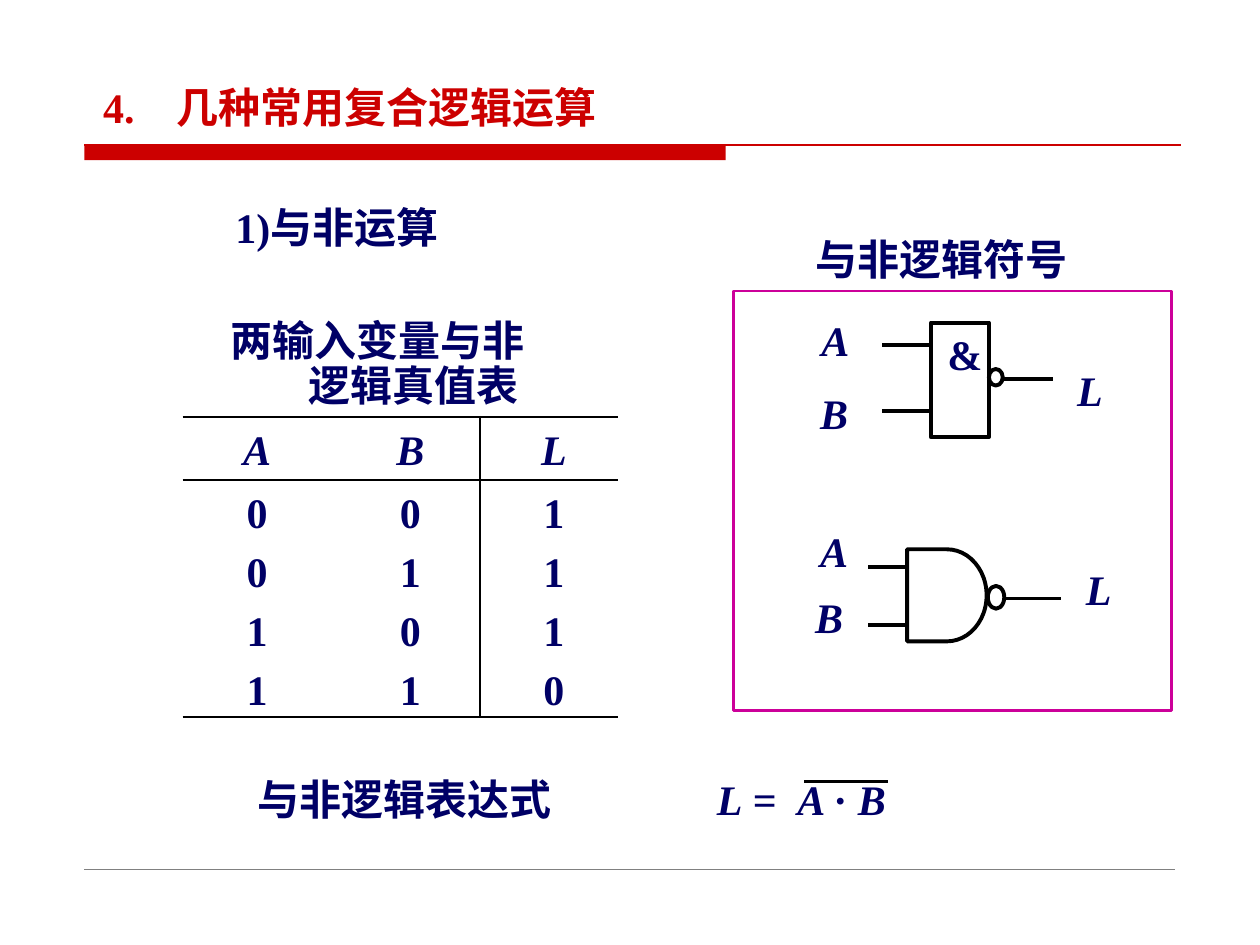
from collections import namedtuple

from lxml.etree import SubElement
from pptx import Presentation
from pptx.dml.color import RGBColor
from pptx.enum.shapes import MSO_CONNECTOR, MSO_SHAPE
from pptx.enum.text import MSO_ANCHOR, MSO_AUTO_SIZE, PP_ALIGN
from pptx.oxml.ns import qn
from pptx.oxml.xmlchemy import OxmlElement
from pptx.util import Pt

RED = RGBColor(0xCC, 0x00, 0x00)
NAVY = RGBColor(0x00, 0x00, 0x66)
BLACK = RGBColor(0x00, 0x00, 0x00)
MAGENTA = RGBColor(0xCC, 0x00, 0x99)
GREY = RGBColor(0x80, 0x80, 0x80)

BASE_FONT = {"name": "Times New Roman", "size": Pt(24), "bold": True}
GATE_LINE = 2.25
RULE_LINE = 1.5
LABEL_HEIGHT = 26

# All lengths are in points; the parts of a gate are relative to its body.
Box = namedtuple("Box", "left top width height")
Gate = namedtuple("Gate", "outline body input_ys lead bubble output_y output_end labels")

TRUTH_TABLE = ["ABL", "001", "011", "101", "110"]

GATES = [
    Gate(MSO_SHAPE.RECTANGLE, Box(113, 18, 33.1, 65.5), (13, 50.4), 28,
         Box(33.1, 26.6, 7.9, 9.4), 32.4, 69.8,
         {"A": (-62.6, -1.4, 16), "B": (-63.4, 40.3, 16),
          "L": (83.5, 27.4, 14.4), "&": (9.4, 6.5, 20)}),
    Gate(MSO_SHAPE.FLOWCHART_DELAY, Box(99.4, 147.6, 45.4, 52.6), (10.1, 43.2), 22.3,
         Box(46.1, 20.9, 9.4, 13), 28.1, 87.8,
         {"A": (-49.7, -10.1, 16), "B": (-52.6, 27.4, 16),
          "L": (102.2, 11.5, 14.4)}),
]


def points(box):
    return [Pt(length) for length in box]


def within(outer, inner):
    """Move a box given relative to another box into slide coordinates."""
    return Box(outer.left + inner.left, outer.top + inner.top, inner.width, inner.height)


def add_run(paragraph, wording, color=NAVY, italic=False):
    run = paragraph.add_run()
    run.text = wording
    for attribute, value in BASE_FONT.items():
        setattr(run.font, attribute, value)
    run.font.italic = italic
    run.font.color.rgb = color


def add_tab_stop(paragraph, position):
    tab_stops = SubElement(paragraph._p.get_or_add_pPr(), qn("a:tabLst"))
    SubElement(tab_stops, qn("a:tab"), pos=str(Pt(position)), algn="l")


def set_indents(paragraph, left, first=0):
    properties = paragraph._p.get_or_add_pPr()
    properties.set("marL", str(Pt(left)))
    properties.set("indent", str(Pt(first)))


def add_text(slide, box, wording="", italic=False, wrap=True, inset=False,
             align=PP_ALIGN.LEFT):
    """Add a one-paragraph text box and return its paragraph."""
    frame = slide.shapes.add_textbox(*points(box)).text_frame
    frame.word_wrap = wrap
    paragraph = frame.paragraphs[0]
    paragraph.alignment = align
    if not inset:
        for side in ("left", "top", "right", "bottom"):
            setattr(frame, f"margin_{side}", 0)
        paragraph.line_spacing = 0.9
    if wording:
        add_run(paragraph, wording, italic=italic)
    return paragraph


def add_line(slide, start, end, weight, color=BLACK):
    line = slide.shapes.add_connector(
        MSO_CONNECTOR.STRAIGHT, *points(start), *points(end))
    line.line.color.rgb = color
    line.line.width = Pt(weight)
    line._element.spPr.append(OxmlElement("a:effectLst"))


def add_outline(slide, kind, box, weight=GATE_LINE, color=BLACK):
    outline = slide.shapes.add_shape(kind, *points(box))
    outline.shadow.inherit = False
    outline.fill.background()
    outline.line.color.rgb = color
    outline.line.width = Pt(weight)
    return outline


def add_title(slide, box):
    title = slide.shapes.title
    for attribute, length in zip(Box._fields, points(box)):
        setattr(title, attribute, length)
    frame = title.text_frame
    frame.auto_size = MSO_AUTO_SIZE.NONE
    frame.vertical_anchor = MSO_ANCHOR.TOP
    paragraph = frame.paragraphs[0]
    paragraph.alignment = PP_ALIGN.LEFT
    add_tab_stop(paragraph, 42)
    add_run(paragraph, "4.\t几种常用复合逻辑运算", RED)


def add_page_rules(slide, box):
    right = box.left + box.width
    bottom = box.top + box.height
    bar = add_outline(slide, MSO_SHAPE.RECTANGLE,
                      Box(box.left, box.top, 366.5, 8.8), 0.75, RED)
    bar.fill.solid()
    bar.fill.fore_color.rgb = RED
    bar.line.fill.background()
    add_line(slide, (box.left, box.top), (right, box.top), 0.75, RED)
    add_line(slide, (box.left, bottom), (right - 3, bottom), 0.25, GREY)


def set_borders(cell, ruled_sides):
    properties = cell._tc.get_or_add_tcPr()
    for side in ("lnL", "lnR", "lnT", "lnB"):
        border = SubElement(properties, qn(f"a:{side}"), w=str(Pt(RULE_LINE)))
        if side in ruled_sides:
            fill = SubElement(border, qn("a:solidFill"))
            SubElement(fill, qn("a:srgbClr"), val=str(BLACK))
        else:
            SubElement(border, qn("a:noFill"))


def add_truth_table(slide, box):
    caption = add_text(slide, Box(box.left, box.top - 55.4, box.width, 52))
    set_indents(caption, 72, -44.4)
    add_run(caption, "两输入变量与非")
    caption.add_line_break()
    add_run(caption, "逻辑真值表")

    table = slide.shapes.add_table(len(TRUTH_TABLE), 3, *points(box)).table
    table.first_row = table.horz_banding = False
    for column, width in zip(table.columns, (85, 85, box.width - 170)):
        column.width = Pt(width)
    header_height = 36
    last = len(TRUTH_TABLE) - 1
    for r, values in enumerate(TRUTH_TABLE):
        table.rows[r].height = Pt((box.height - header_height) / last if r else header_height)
        for c, value in enumerate(values):
            cell = table.cell(r, c)
            sides = {"lnT": r < 2, "lnB": r in (0, last), "lnR": c == 1, "lnL": c == 2}
            set_borders(cell, [side for side, ruled in sides.items() if ruled])
            cell.fill.background()
            cell.vertical_anchor = MSO_ANCHOR.MIDDLE
            cell.margin_top, cell.margin_bottom = Pt(5 if r else 3), 0
            cell.margin_left = Pt(12.5 if c else 7.2)
            paragraph = cell.text_frame.paragraphs[0]
            paragraph.alignment = PP_ALIGN.CENTER
            add_run(paragraph, value, italic=r == 0)


def add_gate(slide, gate, body):
    left, top = body.left, body.top
    for y in gate.input_ys:
        add_line(slide, (left - gate.lead, top + y), (left, top + y), GATE_LINE)
    add_outline(slide, gate.outline, body)
    bubble = within(body, gate.bubble)
    add_outline(slide, MSO_SHAPE.OVAL, bubble)
    output_y = top + gate.output_y
    add_line(slide, (bubble.left + bubble.width, output_y),
             (left + gate.output_end, output_y), GATE_LINE)
    for label, (x, y, width) in gate.labels.items():
        add_text(slide, within(body, Box(x, y, width, LABEL_HEIGHT)), label,
                 italic=label.isalpha(), wrap=False, align=PP_ALIGN.CENTER)


def add_symbols(slide, box):
    add_text(slide, within(box, Box(35.3, -29.5, 167.8, LABEL_HEIGHT)),
             "与非逻辑符号", align=PP_ALIGN.CENTER)
    for gate in GATES:
        add_gate(slide, gate, within(box, gate.body))
    add_outline(slide, MSO_SHAPE.RECTANGLE, box, RULE_LINE, MAGENTA)


def add_expression(slide, box):
    caption = add_text(slide, Box(box.left, box.top, 225, box.height),
                       "与非逻辑表达式", inset=True)
    set_indents(caption, 24)
    formula_left = box.left + 286.5
    formula = add_text(slide, Box(formula_left, box.top, 145.5, box.height), inset=True)
    add_tab_stop(formula, 46)
    for wording, italic in (("L", True), (" =\t", False), ("A ", True),
                            ("· ", False), ("B", True)):
        add_run(formula, wording, italic=italic)
    bar_y = box.top + 8
    add_line(slide, (formula_left + 57, bar_y), (formula_left + 105, bar_y), RULE_LINE)


def main():
    presentation = Presentation()
    presentation.slide_width, presentation.slide_height = Pt(720), Pt(540)
    slide = presentation.slides.add_slide(presentation.slide_layouts[5])
    add_page_rules(slide, Box(48.2, 82.8, 626.4, 414))
    add_title(slide, Box(51.8, 43.2, 325, 36))
    add_text(slide, Box(127.4, 111.6, 156.2, 36), "1)与非运算", inset=True)
    add_truth_table(slide, Box(104.4, 238.3, 249, 171.4))
    add_symbols(slide, Box(419, 166.3, 250.6, 239.8))
    add_expression(slide, Box(116, 438.5, 432, 36))
    presentation.save("out.pptx")


if __name__ == "__main__":
    main()
